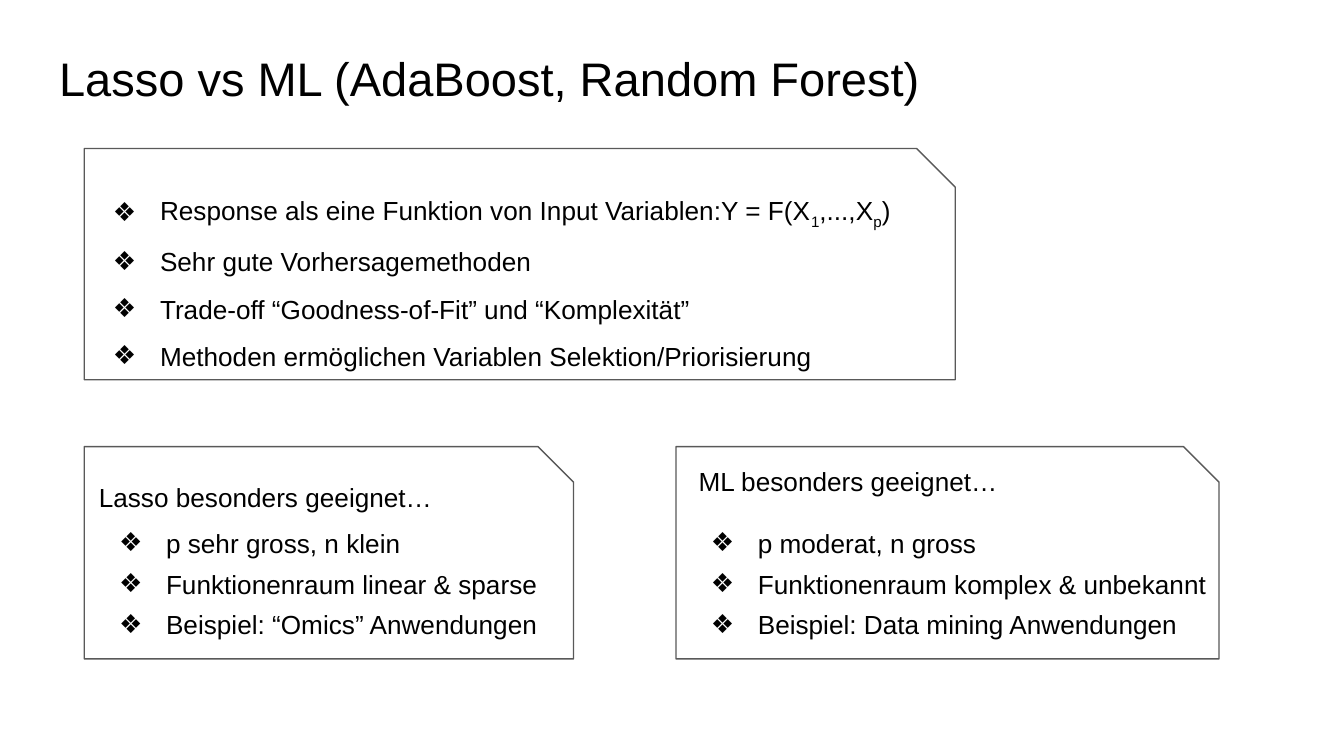
import pptx
import pptx.dml.color
import pptx.enum.shapes
import pptx.enum.text
import pptx.oxml
import pptx.oxml.ns
import pptx.util

W = 10
H = W * 9 / 16
FONT = "Arial"
INK, LINE = "000000", "595959"
TOP, BOTTOM = pptx.enum.text.MSO_ANCHOR.TOP, pptx.enum.text.MSO_ANCHOR.BOTTOM
LEFT, RIGHT = 6.27, 50.3  # left edges of the two columns


def unit(n):
    """Length of n cells on a grid of 100 columns, with square cells."""
    return pptx.util.Inches(n * W / 100)


def color(value):
    return pptx.dml.color.RGBColor.from_string(value)


def add_bullet(p):
    pPr = p._p.get_or_add_pPr()
    pPr.set("marL", str(unit(5)))
    pPr.set("indent", str(-unit(3.5)))
    ns = pptx.oxml.ns.nsdecls("a")
    for xml in (f'<a:buClr {ns}><a:srgbClr val="{INK}"/></a:buClr>',
                f'<a:buFont {ns} typeface="{FONT}"/>',
                f'<a:buChar {ns} char="❖"/>'):
        pPr.append(pptx.oxml.parse_xml(xml))


def add_text(slide, box, paragraphs, size=14, spacing=1.0, bullet=False, anchor=TOP):
    """Each paragraph is a string; "_" sets the next character as a subscript."""
    tf = slide.shapes.add_textbox(*map(unit, box)).text_frame
    tf.word_wrap = True
    tf.vertical_anchor = anchor
    tf.margin_left = tf.margin_right = tf.margin_top = tf.margin_bottom = unit(1)
    for i, text in enumerate(paragraphs):
        p = tf.paragraphs[0] if i == 0 else tf.add_paragraph()
        p.line_spacing = spacing
        if bullet:
            add_bullet(p)
        first, *rest = text.split("_")
        parts = [(first, False)]
        for part in rest:
            parts += [(part[0], True), (part[1:], False)]
        for part, subscript in parts:
            r = p.add_run()
            r.text = part
            r.font.name = FONT
            r.font.size = pptx.util.Pt(size)
            r.font.color.rgb = color(INK)
            if subscript:
                r.font._element.set("baseline", "-25000")


def add_frame(slide, box):
    sp = slide.shapes.add_shape(
        pptx.enum.shapes.MSO_SHAPE.SNIP_1_RECTANGLE, *map(unit, box))
    sp.adjustments[0] = 0.167
    sp.shadow.inherit = False
    sp.fill.background()
    sp.line.color.rgb = color(LINE)
    sp.line.width = pptx.util.Pt(0.75)


def add_common(slide, box, items):
    """Framed list of what both methods share."""
    x, y, w, h = box
    add_frame(slide, box)
    add_text(slide, (x - 0.35, y + 1.1, w + 2.7, h - 2.2), items, spacing=1.5, bullet=True)


def add_method(slide, box, heading, items, inset, spacing):
    """Framed heading with a list below it."""
    x, y, w, h = box
    add_frame(slide, box)
    add_text(slide, (x + inset, y + 0.4, w - 4.4, 4.4), [heading], spacing=spacing)
    add_text(slide, (x + 0.1, y + 4.3, w + 0.8, 10.5), items, spacing=1.3, bullet=True)


def main():
    prs = pptx.Presentation()
    prs.slide_width = pptx.util.Inches(W)
    prs.slide_height = pptx.util.Inches(H)
    slide = prs.slides.add_slide(prs.slide_layouts[6])

    # Title
    add_text(slide, (3.41, 2.55, 93.2, 6.3), ["Lasso vs ML (AdaBoost, Random Forest)"],
             size=25.2, anchor=BOTTOM)

    # Shared properties
    add_common(slide, (LEFT, 11.05, 64.8, 17.2), [
        "Response als eine Funktion von Input Variablen:Y = F(X_1,...,X_p)",
        "Sehr gute Vorhersagemethoden",
        "Trade-off “Goodness-of-Fit” und “Komplexität”",
        "Methoden ermöglichen Variablen Selektion/Priorisierung",
    ])

    # Where each method fits best
    add_method(slide, (LEFT, 33.23, 36.4, 15.8), "Lasso besonders geeignet…", [
        "p sehr gross, n klein",
        "Funktionenraum linear & sparse",
        "Beispiel: “Omics” Anwendungen",
    ], inset=0.1, spacing=1.5)
    add_method(slide, (RIGHT, 33.23, 40.4, 15.8), "ML besonders geeignet…", [
        "p moderat, n gross",
        "Funktionenraum komplex & unbekannt",
        "Beispiel: Data mining Anwendungen",
    ], inset=0.7, spacing=1.0)

    prs.save("out.pptx")


if __name__ == "__main__":
    main()
